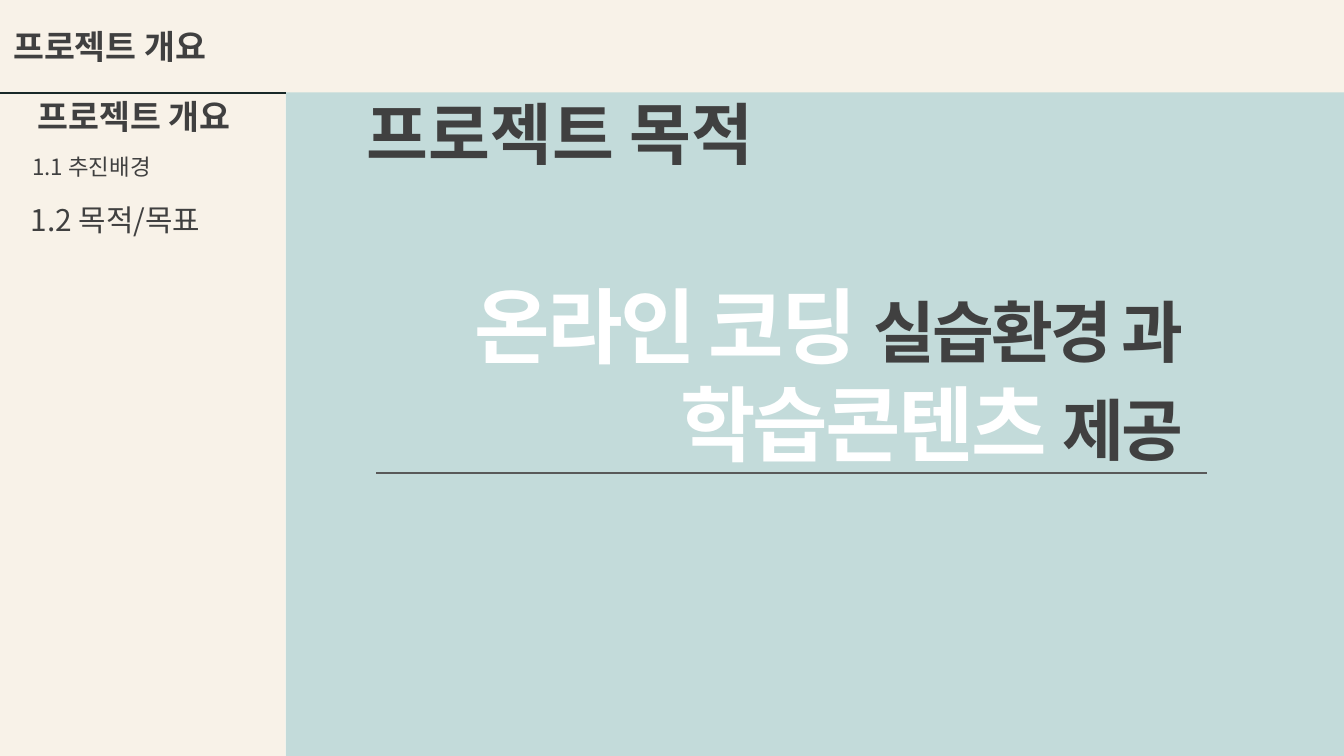
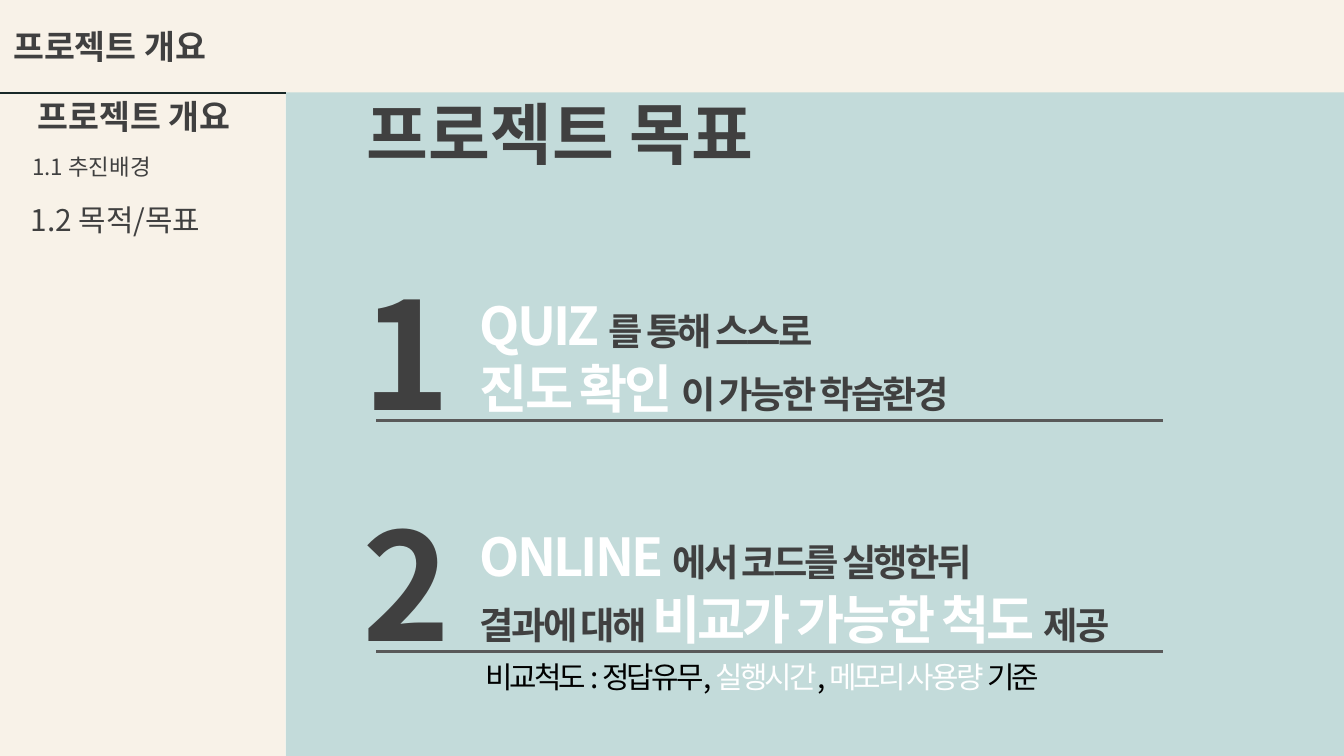
from lxml import etree
from pptx import Presentation
from pptx.dml.color import RGBColor
from pptx.enum.shapes import MSO_CONNECTOR, MSO_SHAPE
from pptx.enum.text import MSO_ANCHOR, MSO_AUTO_SIZE, PP_ALIGN
from pptx.oxml.ns import qn
from pptx.util import Cm, Pt

RECT = MSO_SHAPE.RECTANGLE
LINE = MSO_CONNECTOR.STRAIGHT
LEFT, RIGHT = PP_ALIGN.LEFT, PP_ALIGN.RIGHT
MIDDLE = MSO_ANCHOR.MIDDLE
GROW = MSO_AUTO_SIZE.SHAPE_TO_FIT_TEXT

FONT = "Noto Sans CJK KR"
DARK, WHITE, BLACK = "404040", "FFFFFF", "000000"
CREAM, MINT, GRAY, INK = "F8F2E8", "C3DBDA", "595959", "192928"

WIDE, HIGH = 25.4, 14.29
SIDE, BAND = 5.4, 1.75
TOPIC = "프로젝트 개요"


def color(code):
    """Turn a hex string into a colour."""
    return RGBColor.from_string(code)


def style(font, size, code):
    """Set size and colour of a font."""
    font.size = Pt(size)
    font.color.rgb = color(code)


def write(frame, lines, bold=False, align=LEFT, tight=False):
    """Fill a frame with lines, each a list of (text, size, colour)."""
    for i, runs in enumerate(lines):
        para = frame.paragraphs[0] if i == 0 else frame.add_paragraph()
        para.alignment = align
        para.font.name = FONT
        para.font.bold = bold
        same = len({run[1:] for run in runs}) == 1
        if same:
            style(para.font, *runs[0][1:])
        base = para._p.pPr.find(qn("a:defRPr"))
        etree.SubElement(base, qn("a:ea"), typeface=FONT)
        if tight:
            base.set("spc", "-150")
        for text, size, code in runs:
            run = para.add_run()
            run.text = text
            if not same:
                style(run.font, size, code)


def label(slide, box, lines, **look):
    """Add a wrapped text box."""
    frame = slide.shapes.add_textbox(*map(Cm, box)).text_frame
    frame.word_wrap = True
    frame.auto_size = GROW
    write(frame, lines, **look)


def panel(slide, box, code):
    """Add a flat filled box."""
    shape = slide.shapes.add_shape(RECT, *map(Cm, box))
    shape.shadow.inherit = False
    shape.fill.solid()
    shape.fill.fore_color.rgb = color(code)
    shape.line.fill.background()
    return shape


def rule(slide, x, y, w, code=GRAY, width=1.5):
    """Add a level line."""
    line = slide.shapes.add_connector(LINE, Cm(x), Cm(y), Cm(x + w), Cm(y))
    line.line.color.rgb = color(code)
    line.line.width = Pt(width)
    etree.SubElement(line._element.spPr, qn("a:effectLst"))


def menu(slide, box, last):
    """Draw the side menu, its last entry as wide as given."""
    x, y, w, h = box
    panel(slide, box, CREAM)
    label(slide, (x + 0.46, y + 1.68, 4.7, 1.02), [[(TOPIC, 18, DARK)]], bold=True)
    label(slide, (x + 0.36, y + 2.77, 4.7, 0.76), [[("1.1 추진배경", 12, DARK)]])
    label(slide, (x + 0.33, y + 3.68, last, 0.94), [[("1.2 목적/목표", 16, DARK)]])


def header(slide, box):
    """Draw the top band and the line under its left part."""
    x, y, w, h = box
    frame = panel(slide, box, CREAM).text_frame
    frame.vertical_anchor = MIDDLE
    write(frame, [[(TOPIC, 18, DARK)]], bold=True)
    rule(slide, x, y + h, SIDE, INK, 1)


def page(deck, title, last, body):
    """Add a slide with menu, title, body and header."""
    slide = deck.slides.add_slide(deck.slide_layouts[6])
    panel(slide, (SIDE, 0, WIDE - SIDE, HIGH), MINT)
    menu(slide, (0, 0, SIDE, HIGH), last)
    body(slide)
    label(slide, (6.68, 1.63, 11.43, 1.8), [[(title, 36, DARK)]], bold=True)
    header(slide, (0, 0, WIDE, BAND))


def aim(slide):
    """Draw the purpose statement."""
    x, y, w, h = box = (4.62, 5.08, 18, 4)
    lines = [
        [("온라인 코딩 ", 44, WHITE), ("실습환경 과", 36, DARK)],
        [("학습콘텐츠 ", 44, WHITE), ("제공", 36, DARK)],
    ]
    label(slide, box, lines, bold=True, align=RIGHT, tight=True)
    rule(slide, x + 2.49, y + 3.86, 15.7)


def goal(slide, box, mark, lines):
    """Draw a numbered goal standing on a line."""
    x, y, w, h = box
    label(slide, (x + 1.71, y + 0.61, 15.93, 2.64), lines, bold=True, tight=True)
    label(slide, (x - 0.5, y, 2.03, 3.68), [[(mark, 80, DARK)]], bold=True, tight=True)
    rule(slide, x, y + h, w)


def goals(slide):
    """Draw both goals and the note below."""
    texts = [
        [
            [("QUIZ ", 28, WHITE), ("를 통해 스스로", 20, DARK)],
            [("진도 확인 ", 28, WHITE), ("이 가능한 학습환경", 20, DARK)],
        ],
        [
            [("ONLINE ", 28, WHITE), ("에서 코드를 실행한뒤", 20, DARK)],
            [("결과에 대해 ", 20, DARK), ("비교가 가능한 척도 ", 28, WHITE), ("제공", 20, DARK)],
        ],
    ]
    for i, lines in enumerate(texts):
        goal(slide, (7.11, 4.81 + 4.37 * i, 14.86, 3.14), str(i + 1), lines)
    note = [
        ("비교척도 : 정답유무, ", 16, BLACK),
        ("실행시간", 16, WHITE),
        (", ", 16, BLACK),
        ("메모리 사용량 ", 16, WHITE),
        ("기준", 16, BLACK),
    ]
    label(slide, (8.92, 12.32, 12.75, 0.94), [note], tight=True)


def main():
    """Build and save the deck."""
    deck = Presentation()
    deck.slide_width, deck.slide_height = Cm(WIDE), Cm(HIGH)
    page(deck, "프로젝트 목적", 3.89, aim)
    page(deck, "프로젝트 목표", 4.72, goals)
    deck.save("out.pptx")


if __name__ == "__main__":
    main()
